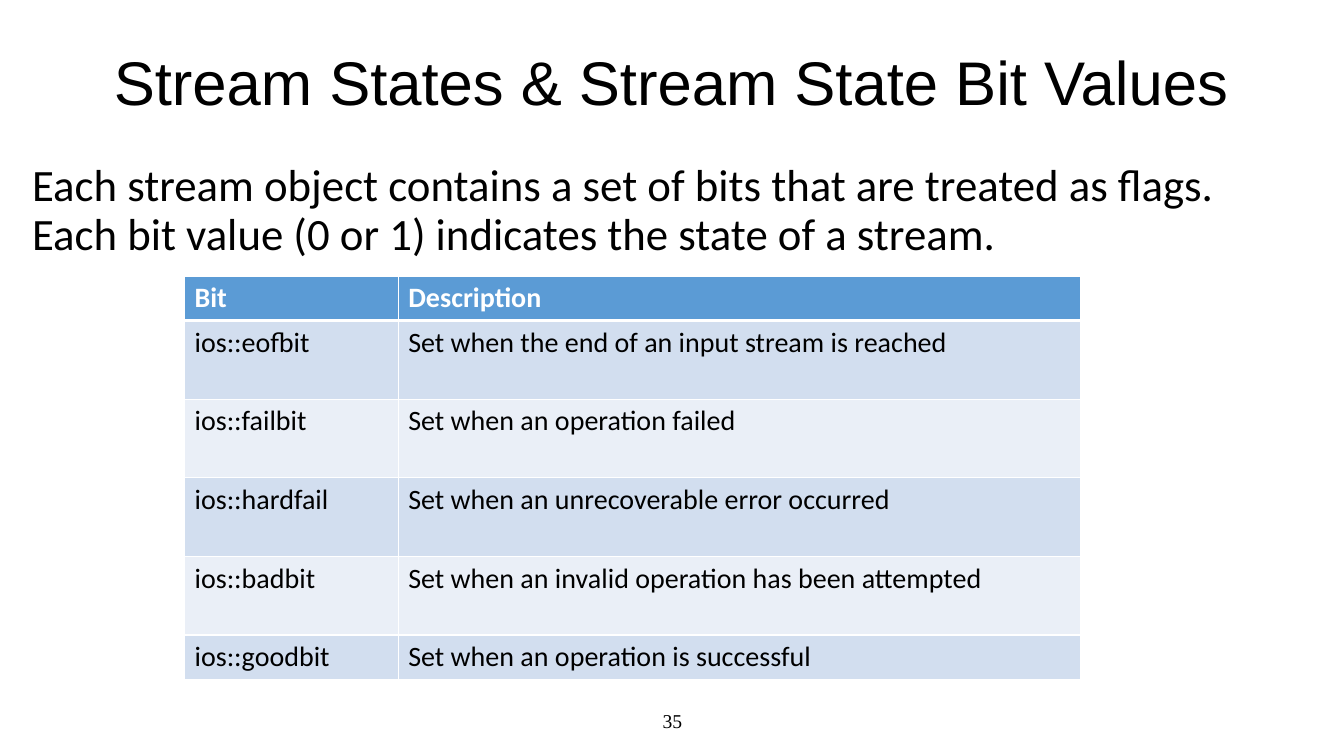
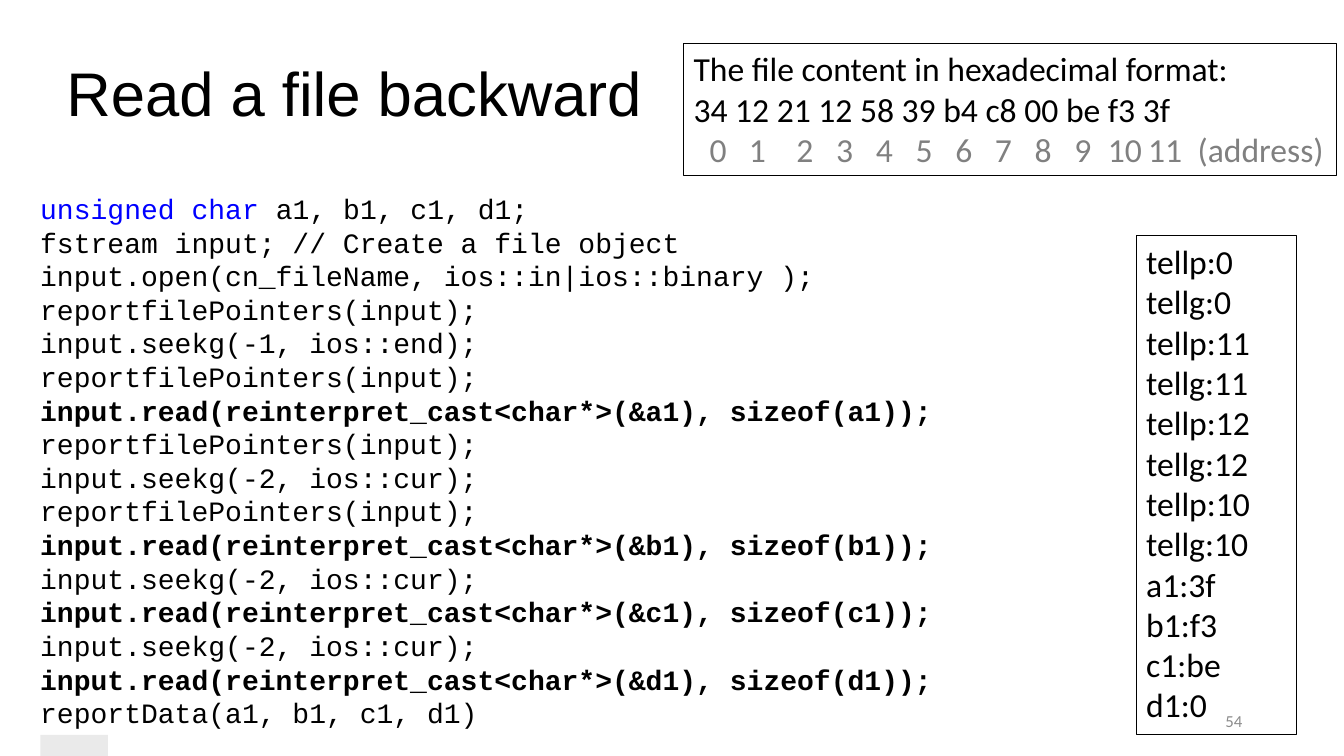
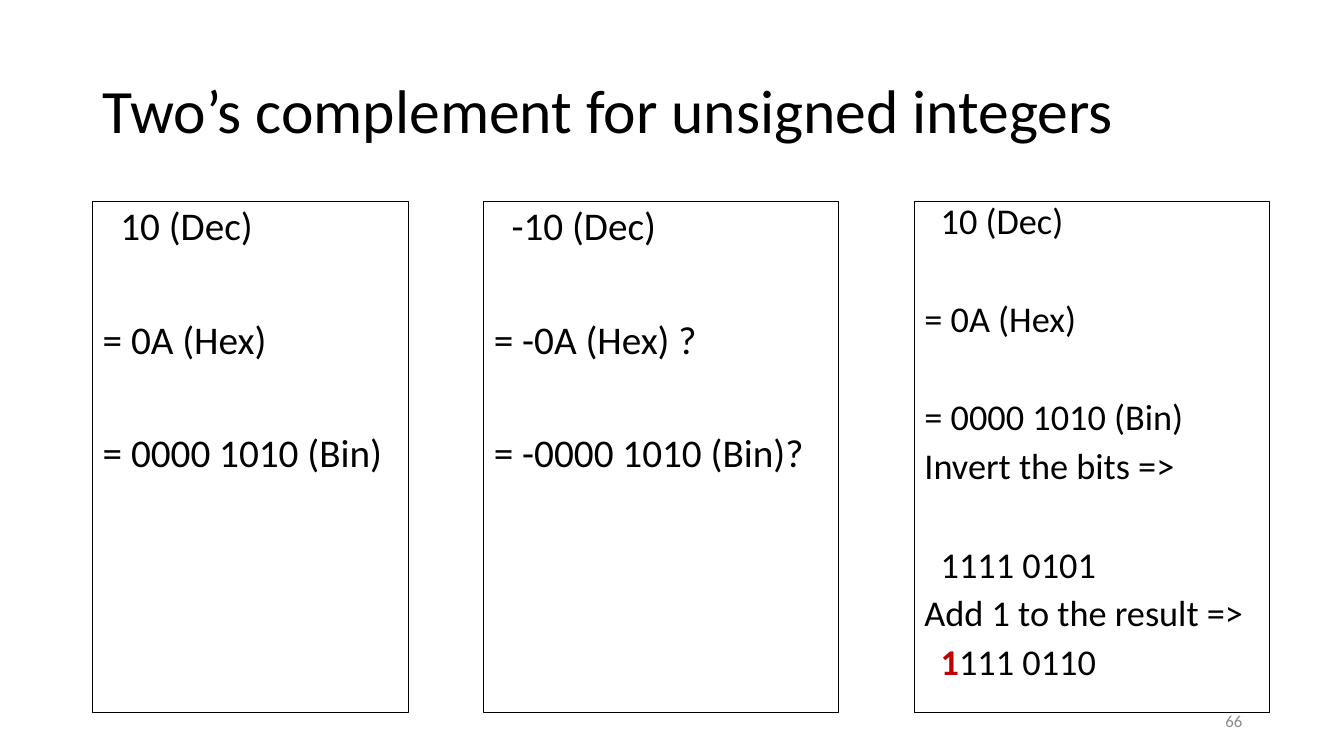
from lxml import etree
from pptx import Presentation
from pptx.dml.color import RGBColor
from pptx.enum import shapes, text
from pptx.oxml.ns import qn
from pptx.util import Inches, Pt

HUES = {
    "ink": "000000", "white": "FFFFFF", "head": "5B9BD5", "odd": "D2DEEF",
    "even": "EAEFF7", "key": "0000FF", "dim": "808080", "foot": "8C8C8C",
    "mark": "EAEAEA", "red": "C00000",
}
ALIGN = text.PP_ALIGN
MIDDLE = text.MSO_ANCHOR.MIDDLE

INTRO = [
    "Each stream object contains a set of bits that are treated as flags.",
    "Each bit value (0 or 1) indicates the state of a stream.",
]
BITS = [
    ("Bit", "Description"),
    ("ios::eofbit", "Set when the end of an input stream is reached"),
    ("ios::failbit", "Set when an operation failed"),
    ("ios::hardfail", "Set when an unrecoverable error occurred"),
    ("ios::badbit", "Set when an invalid operation has been attempted"),
    ("ios::goodbit", "Set when an operation is successful"),
]
WIDTHS = [2.12, 6.77]
HEIGHTS = [0.44, 0.78, 0.78, 0.78, 0.78, 0.44]

CODE = [
    [("unsigned char", {"hue": "key"}), (" a1, b1, c1, d1;", {})],
    "fstream input; // Create a file object",
    "input.open(cn_fileName, ios::in|ios::binary );",
    "reportfilePointers(input);",
    "input.seekg(-1, ios::end);",
    "reportfilePointers(input);",
    "input.read(reinterpret_cast<char*>(&a1), sizeof(a1));",
    "reportfilePointers(input);",
    "input.seekg(-2, ios::cur);",
    "reportfilePointers(input);",
    "input.read(reinterpret_cast<char*>(&b1), sizeof(b1));",
    "input.seekg(-2, ios::cur);",
    "input.read(reinterpret_cast<char*>(&c1), sizeof(c1));",
    "input.seekg(-2, ios::cur);",
    "input.read(reinterpret_cast<char*>(&d1), sizeof(d1));",
    "reportData(a1, b1, c1, d1)",
]
TRACE = [
    "tellp:0", "tellg:0", "tellp:11", "tellg:11", "tellp:12", "tellg:12",
    "tellp:10", "tellg:10", "a1:3f", "b1:f3", "c1:be", "d1:0",
]
PLACES = [str(n) for n in range(12)] + ["(address)"]
STOPS = [0.16, 0.55] + [1.02 + 0.394 * n for n in range(8)] + [4.11, 4.51, 5.0]
DUMP = [
    "The file content in hexadecimal format:",
    "34 12 21 12 58 39 b4 c8 00 be f3 3f",
    [("\t" + "\t".join(PLACES), {"hue": "dim"})],
]

PANELS = [
    {"left": 0.92, "width": 3.13, "size": 28, "space": 0.9, "gap": 51,
     "lines": ["10 (Dec)", "= 0A (Hex)", "= 0000 1010 (Bin)"],
     "inset": [0], "wide": [1, 2]},
    {"left": 4.8, "width": 3.52, "size": 28, "space": 0.9, "gap": 51,
     "lines": ["-10 (Dec)", "= -0A (Hex) ?", "= -0000 1010 (Bin)?"],
     "inset": [0], "wide": [1, 2]},
    {"left": 9.07, "width": 3.52, "size": 25.9, "space": 0.8, "gap": 45.3,
     "lines": ["10 (Dec)", "= 0A (Hex)", "= 0000 1010 (Bin)",
               "Invert the bits =>", "1111 0101", "Add 1 to the result =>",
               [("1", {"hue": "red", "bold": True}), ("111 0110", {})]],
     "inset": [0, 4, 6], "wide": [1, 2, 4]},
]


def tint(name):
    return RGBColor.from_string(HUES[name])


def style(run, size, font="Calibri", hue="ink", bold=False):
    run.font.size = Pt(size)
    run.font.name = font
    run.font.bold = bold
    run.font.color.rgb = tint(hue)


def write(frame, lines, size, space=None, align=ALIGN.LEFT, **look):
    frame.word_wrap = True
    for i, line in enumerate(lines):
        para = frame.paragraphs[0] if i == 0 else frame.add_paragraph()
        para.alignment = align
        if space:
            para.line_spacing = space
        for words, extra in [(line, {})] if isinstance(line, str) else line:
            run = para.add_run()
            run.text = words
            style(run, size, **{**look, **extra})


def label(slide, spot, lines, size, anchor=None, **look):
    frame = slide.shapes.add_textbox(*map(Inches, spot)).text_frame
    write(frame, lines, size, **look)
    if anchor is not None:
        frame.vertical_anchor = anchor
    return frame


def title(slide, spot, words, **look):
    label(slide, spot, [words], 44, MIDDLE, space=0.9, **look)


def number(slide, value):
    label(slide, (9.42, 6.95, 3, 0.4), [value], 12, MIDDLE,
          align=ALIGN.RIGHT, hue="foot")


def block(slide, spot, fill=None):
    box = slide.shapes.add_shape(shapes.MSO_SHAPE.RECTANGLE, *map(Inches, spot))
    box.shadow.inherit = False
    if fill:
        box.fill.solid()
        box.fill.fore_color.rgb = tint(fill)
        box.line.fill.background()
    else:
        box.fill.background()
        box.line.color.rgb = tint("ink")
        box.line.width = Pt(0.75)
    return box


def panel(slide, spot, lines, size, **look):
    frame = block(slide, spot).text_frame
    frame.vertical_anchor = text.MSO_ANCHOR.TOP
    write(frame, lines, size, **look)
    return frame


def edge(cell, row):
    props = cell._tc.get_or_add_tcPr()
    for i, side in enumerate("LRTB"):
        thick = (row, side) in [(0, "B"), (1, "T")]
        line = etree.Element(qn("a:ln" + side), w=str(Pt(3 if thick else 1)))
        fill = etree.SubElement(line, qn("a:solidFill"))
        etree.SubElement(fill, qn("a:srgbClr"), val=HUES["white"])
        props.insert(i, line)


def grid(slide):
    spot = (1.83, 2.74, sum(WIDTHS), sum(HEIGHTS))
    table = slide.shapes.add_table(len(BITS), 2, *map(Inches, spot)).table
    for col, width in zip(table.columns, WIDTHS):
        col.width = Inches(width)
    for r, (row, height) in enumerate(zip(BITS, HEIGHTS)):
        table.rows[r].height = Inches(height)
        for c, words in enumerate(row):
            cell = table.cell(r, c)
            write(cell.text_frame, [words], 20, bold=r == 0,
                  hue="ink" if r else "white")
            cell.fill.solid()
            cell.fill.fore_color.rgb = tint(
                "head" if r == 0 else "odd" if r % 2 else "even")
            edge(cell, r)


def states(slide):
    label(slide, (4.42, 6.95, 4.5, 0.4), ["35"], 14, MIDDLE,
          align=ALIGN.CENTER, font="Times New Roman")
    title(slide, (0, 0.25, 13.33, 1.19), "Stream States & Stream State Bit Values",
          font="Arial", align=ALIGN.CENTER)
    label(slide, (0.22, 1.57, 12.83, 3.36), INTRO, 32, space=0.9)
    grid(slide)


def backward(slide):
    title(slide, (0.56, 0.23, 11.5, 1.45), "Read a file backward", font="Arial")
    code = label(slide, (0.3, 1.85, 10.71, 5.6), CODE, 20,
                 space=Pt(24), font="Courier New")
    for para in code.paragraphs:
        if para.text.startswith("input.read"):
            para.runs[0].font.bold = True
    block(slide, (0.4, 7.29, 0.67, 0.21), "mark")
    panel(slide, (11.27, 2.34, 1.59, 4.95), TRACE, 24)
    dump = panel(slide, (6.78, 0.43, 6.48, 1.31), DUMP, 24)
    dump.margin_right = 0
    tabs = etree.SubElement(dump.paragraphs[-1]._p.get_or_add_pPr(), qn("a:tabLst"))
    for stop in STOPS:
        etree.SubElement(tabs, qn("a:tab"), pos=str(Inches(stop)), algn="l")
    number(slide, "54")


def complement(slide):
    title(slide, (0.92, 0.4, 11.5, 1.45), "Two’s complement for unsigned integers")
    for part in PANELS:
        frame = panel(slide, (part["left"], 2, part["width"], 5.07),
                      part["lines"], part["size"], space=part["space"])
        for i, para in enumerate(frame.paragraphs):
            para.space_before = Pt(part["gap"] if i in part["wide"] else 10)
            if i in part["inset"]:
                props = para._p.get_or_add_pPr()
                props.set("marL", str(Pt(part["size"] * 0.45)))
                props.set("indent", "0")
    number(slide, "66")


def main():
    deck = Presentation()
    deck.slide_width, deck.slide_height = Inches(13.33), Inches(7.5)
    for build in (states, backward, complement):
        build(deck.slides.add_slide(deck.slide_layouts[6]))
    deck.save("out.pptx")


if __name__ == "__main__":
    main()
